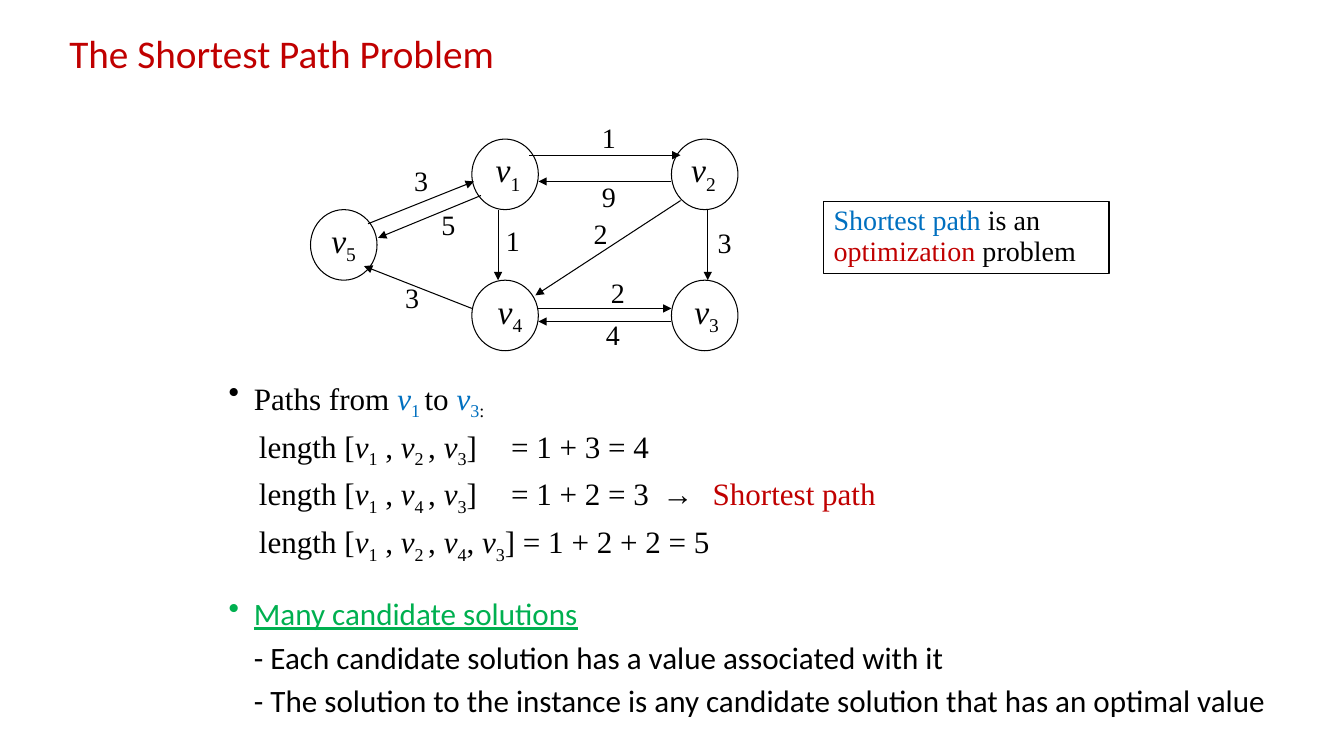
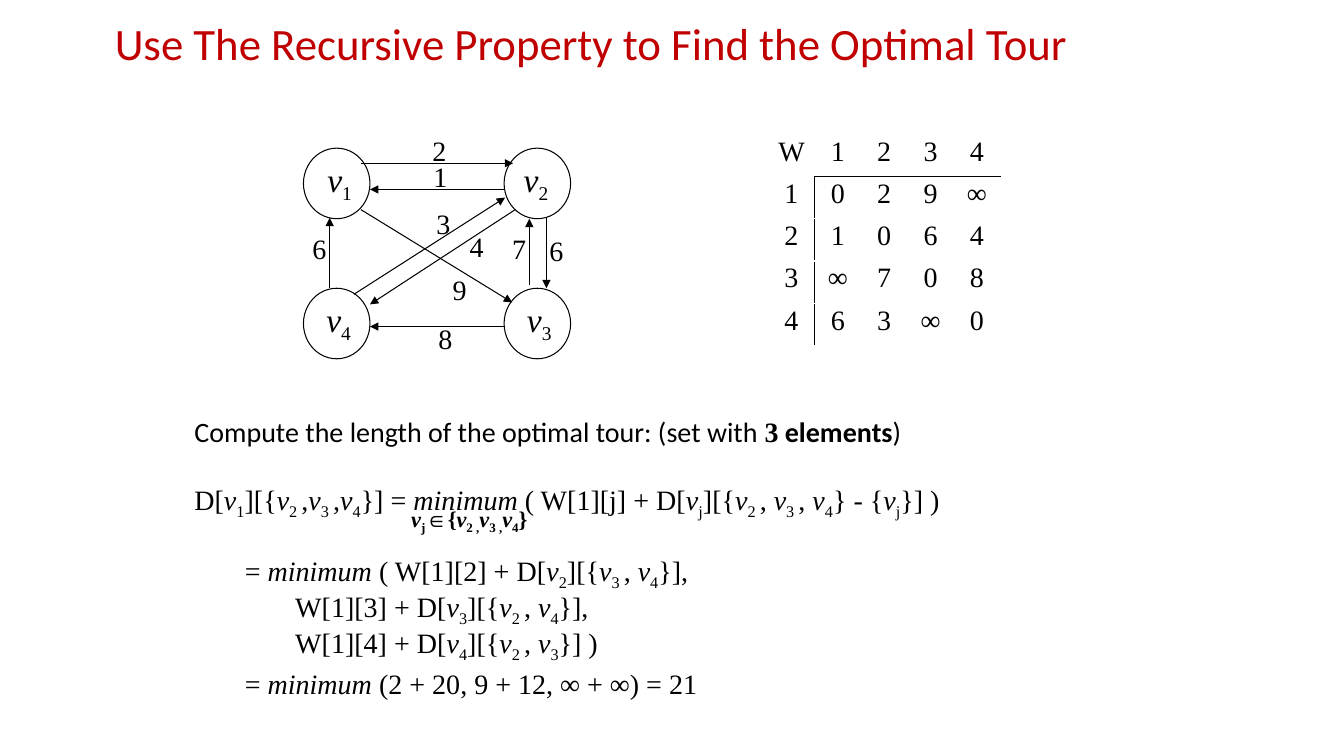
from lxml import etree
from pptx import Presentation
from pptx import util as u
from pptx.dml.color import RGBColor
from pptx.enum import shapes, text
from pptx.oxml.ns import qn

PX = 9144  # EMU in one px, 100 px to the inch
SERIF, SANS = "Times New Roman", "Calibri"
COLORS = {"ink": "000000", "paper": "FFFFFF", "red": "C00000", "blue": "0070C0", "green": "00B050"}
NODE_SIZE = (66, 70)
WEIGHT_SIZE = (45, 48)
CELL_SIZE = (46, 42)

# Markup toggles: *italic*, ~subscript~, ^bold^
MARKS = {"*": "italic", "~": "subscript", "^": "bold"}

# Nodes: label, left, top, left inset.  Edges: start, end, weight, weight position.
PATH_GRAPH = {
    "nodes": [
        ("1", 468, 138, 14), ("2", 666, 138, 10), ("4", 468, 278, 16),
        ("3", 666, 278, 13), ("5", 308, 208, 11),
    ],
    "edges": [
        ((365, 222), (470, 180), "3", (401, 157)),
        ((477, 194), (375, 236), "5", (428, 201)),
        ((675, 199), (531, 293), "2", (579, 210)),
        ((525, 154), (675, 154), "1", (587, 115)),
        ((666, 180), (534, 180), "9", (587, 173)),
        ((534, 306), (666, 306), "2", (596, 268)),
        ((666, 319), (534, 319), "4", (591, 310)),
        ((494, 208), (494, 278), "1", (492, 217)),
        ((702, 208), (702, 278), "3", (702, 219)),
        ((468, 306), (361, 264), "3", (392, 273)),
    ],
}
TOUR_GRAPH = {
    "nodes": [
        ("1", 301, 147, 14), ("2", 500, 147, 10),
        ("4", 301, 286, 13), ("3", 500, 286, 13),
    ],
    "edges": [
        ((358, 162), (509, 162), "2", (419, 127)),
        ((500, 188), (367, 188), "1", (420, 153)),
        ((351, 292), (501, 196), "3", (423, 200)),
        ((511, 208), (367, 302), "4", (456, 223)),
        ((358, 208), (508, 300), "9", (439, 265)),
        ((327, 286), (327, 216), "6", (300, 225)),
        ((525, 283), (525, 217), "7", (498, 225)),
        ((542, 216), (542, 286), "6", (535, 227)),
        ((500, 324), (367, 324), "8", (425, 314)),
    ],
}
WEIGHTS = [
    ["W", "1", "2", "3", "4"],
    ["1", "0", "2", "9", "∞"],
    ["2", "1", "0", "6", "4"],
    ["3", "∞", "7", "0", "8"],
    ["4", "6", "3", "∞", "0"],
]

# A paragraph is (pieces, layout); a piece is markup or (markup, style).
BLUE, RED = {"color": "blue"}, {"color": "red"}
PLAIN = {"font": SANS}
LENGTH = {"margin": 30, "before": 10, "tabs": (293, 553, 640)}
NOTE = {"margin": 25, "before": 10}
BULLET = {"margin": 25, "bullet": "•"}
PATH_LINES = [
    (["Paths from ", ("*v*~1 ~", BLUE), "to ", ("*v*~3~", BLUE), "~:~"], BULLET),
    (["length [*v*~1~ , *v*~2 ~, *v*~3~]\t= 1 + 3 = 4"], LENGTH),
    (["length [*v*~1~ , *v*~4 ~, *v*~3~]\t= 1 + 2 = 3\t→\t", ("Shortest path", RED)], LENGTH),
    (["length [*v*~1~ , *v*~2 ~, *v*~4~, *v*~3~] = 1 + 2 + 2 = 5"], LENGTH),
    ([("Many candidate solutions", {"font": SANS, "color": "green", "underline": True})],
     {**BULLET, "before": 29}),
    ([("- Each candidate solution has a value associated with it", PLAIN)], NOTE),
    ([("- The solution to the instance is any candidate solution that has an optimal value", PLAIN)],
     NOTE),
]
CALLOUT_LINES = [
    ([("Shortest path ", BLUE), "is an ", ("optimization ", RED), "problem"], {}),
]
TABS = (195, 378)
TOUR_LINES = [
    ([("Compute the length of the optimal tour: (set with ", PLAIN), "^3^",
      ("^ elements^)", PLAIN)], {}),
    (["D[*v*~1~][{*v*~2 ~,*v*~3 ~,*v*~4~}] = *minimum* ( W[1][j] + "
      "D[*v*~j~][{*v*~2 ~, *v*~3 ~, *v*~4~} - {*v*~j~}] )"], {"before": 25}),
    (["\t= *minimum* ( W[1][2] + D[*v*~2~][{*v*~3 ~, *v*~4~}],"], {"before": 26, "tabs": TABS}),
    (["\t\tW[1][3] + D[*v*~3~][{*v*~2 ~, *v*~4~}],"], {"before": 1, "tabs": TABS}),
    (["\t\tW[1][4] + D[*v*~4~][{*v*~2 ~, *v*~3~}] )"], {"before": 1, "tabs": TABS}),
    (["\t= *minimum* (2 + 20, 9 + 12, ∞ + ∞) = 21"], {"before": 7, "tabs": TABS}),
]
RANGE_LINES = [(["^*v*~j~∈{*v*~2 ,~*v*~3 ,~*v*~4~}^"], {})]


def px(*lengths):
    return [u.Emu(length * PX) for length in lengths]


def rgb(name):
    return RGBColor.from_string(COLORS[name])


def add_runs(paragraph, markup, size, font=SERIF, color="ink", underline=False):
    """Split the markup at its toggles and add one run per stretch."""
    active, stretch = set(), ""
    for character in markup + "\0":
        if character not in MARKS and character != "\0":
            stretch += character
            continue
        if stretch:
            run = paragraph.add_run()
            run.text = stretch
            run.font.size, run.font.name = u.Pt(size), font
            run.font.color.rgb = rgb(color)
            run.font.bold, run.font.italic = "bold" in active, "italic" in active
            run.font.underline = underline
            if "subscript" in active:
                run.font._element.set("baseline", "-25000")
            stretch = ""
        if character in MARKS:
            active ^= {MARKS[character]}


def lay_out(paragraph, spacing, margin=0, before=0, bullet=None, tabs=()):
    properties = paragraph._p.get_or_add_pPr()
    properties.set("marL", str(margin * PX))
    properties.set("indent", str(-margin * PX if bullet else 0))
    if bullet:
        etree.SubElement(properties, qn("a:buChar")).set("char", bullet)
    else:
        etree.SubElement(properties, qn("a:buNone"))
    if tabs:
        tab_list = etree.SubElement(properties, qn("a:tabLst"))
        for position in tabs:
            etree.SubElement(tab_list, qn("a:tab"), pos=str(position * PX), algn="l")
    paragraph.line_spacing = spacing
    paragraph.space_before = u.Pt(before)
    paragraph.alignment = text.PP_ALIGN.LEFT


def fill_text(shape, lines, size, spacing=1.0, anchor=text.MSO_ANCHOR.TOP, insets=(10, 5, 10, 5)):
    frame = shape.text_frame
    frame.word_wrap = True
    frame.vertical_anchor = anchor
    frame.margin_left, frame.margin_top, frame.margin_right, frame.margin_bottom = px(*insets)
    for index, (pieces, layout) in enumerate(lines):
        paragraph = frame.add_paragraph() if index else frame.paragraphs[0]
        lay_out(paragraph, spacing, **layout)
        for piece in pieces:
            markup, style = (piece, {}) if isinstance(piece, str) else piece
            add_runs(paragraph, markup, size, **style)


def add_text(slide, box, lines, size, **options):
    fill_text(slide.shapes.add_textbox(*px(*box)), lines, size, **options)


def add_title(slide, box, title, size):
    pieces = [(title, {"font": SANS, "color": "red"})]
    add_text(slide, box, [(pieces, {})], size, spacing=0.9, anchor=text.MSO_ANCHOR.MIDDLE)


def add_outlined(slide, kind, box, fill=None):
    shape = slide.shapes.add_shape(kind, *px(*box))
    shape.shadow.inherit = False
    if fill:
        shape.fill.solid()
        shape.fill.fore_color.rgb = rgb(fill)
    else:
        shape.fill.background()
    shape.line.color.rgb = rgb("ink")
    shape.line.width = u.Pt(0.75)
    return shape


def add_arrow(slide, start, end):
    arrow = slide.shapes.add_connector(shapes.MSO_CONNECTOR.STRAIGHT, *px(*start, *end))
    arrow.line.color.rgb = rgb("ink")
    arrow.line.width = u.Pt(0.75)
    etree.SubElement(arrow.line._get_or_add_ln(), qn("a:tailEnd"), type="triangle")
    etree.SubElement(arrow._element.spPr, qn("a:effectLst"))


def add_graph(slide, graph):
    for label, left, top, inset in graph["nodes"]:
        node = add_outlined(slide, shapes.MSO_SHAPE.OVAL, (left, top, *NODE_SIZE), "paper")
        fill_text(node, [([f"*v*~{label}~"], {})], 24, insets=(inset, 0, 0, 5))
    for start, end, weight, position in graph["edges"]:
        add_arrow(slide, start, end)
        add_text(slide, (*position, *WEIGHT_SIZE), [([weight], {})], 20)


def add_border(cell, sides):
    properties = cell._tc.get_or_add_tcPr()
    for index, side in enumerate(side for side in "LRTB" if side in sides):
        line = etree.Element(qn(f"a:ln{side}"), w=str(u.Pt(1)))
        fill = etree.SubElement(line, qn("a:solidFill"))
        etree.SubElement(fill, qn("a:srgbClr"), val=COLORS["ink"])
        properties.insert(index, line)


def add_weight_table(slide, left, top, rows):
    """Draw the matrix with one rule below its head row and one right of its head column."""
    count = len(rows)
    width, height = CELL_SIZE
    table = slide.shapes.add_table(
        count, count, *px(left, top, width * count, height * count)).table
    table.first_row = table.horz_banding = False
    for index in range(count):
        table.columns[index].width, table.rows[index].height = px(width, height)
    for row, values in enumerate(rows):
        for column, value in enumerate(values):
            cell = table.cell(row, column)
            cell.margin_left, cell.margin_top, cell.margin_right, cell.margin_bottom = px(4, 2, 4, 2)
            cell.fill.background()
            paragraph = cell.text_frame.paragraphs[0]
            paragraph.alignment = text.PP_ALIGN.CENTER
            add_runs(paragraph, value, 20)
            sides = {(0, 1): "B", (1, 0): "R"}.get((min(row, 1), min(column, 1)), "")
            sides += "T" * (row == 1 and column > 0) + "L" * (column == 1 and row > 0)
            add_border(cell, sides)


def build_path_slide(slide):
    add_title(slide, (59, 5, 900, 100), "The Shortest Path Problem", 28)
    add_text(slide, (217, 375, 1105, 350), PATH_LINES, 22.2, spacing=0.8)
    add_graph(slide, PATH_GRAPH)
    callout = add_outlined(slide, shapes.MSO_SHAPE.RECTANGLE, (817, 200, 283, 71))
    fill_text(callout, CALLOUT_LINES, 20, spacing=0.9)


def build_tour_slide(slide):
    add_title(slide, (104, 0, 1060, 92), "Use The Recursive Property to Find the Optimal Tour", 32)
    add_graph(slide, TOUR_GRAPH)
    add_weight_table(slide, 762, 133, WEIGHTS)
    add_text(slide, (183, 410, 983, 300), TOUR_LINES, 20, spacing=0.9)
    add_text(slide, (398, 496, 150, 37), RANGE_LINES, 16)


def main():
    presentation = Presentation()
    presentation.slide_width, presentation.slide_height = px(1333, 750)
    for build in (build_path_slide, build_tour_slide):
        build(presentation.slides.add_slide(presentation.slide_layouts[6]))
    presentation.save("out.pptx")


if __name__ == "__main__":
    main()
